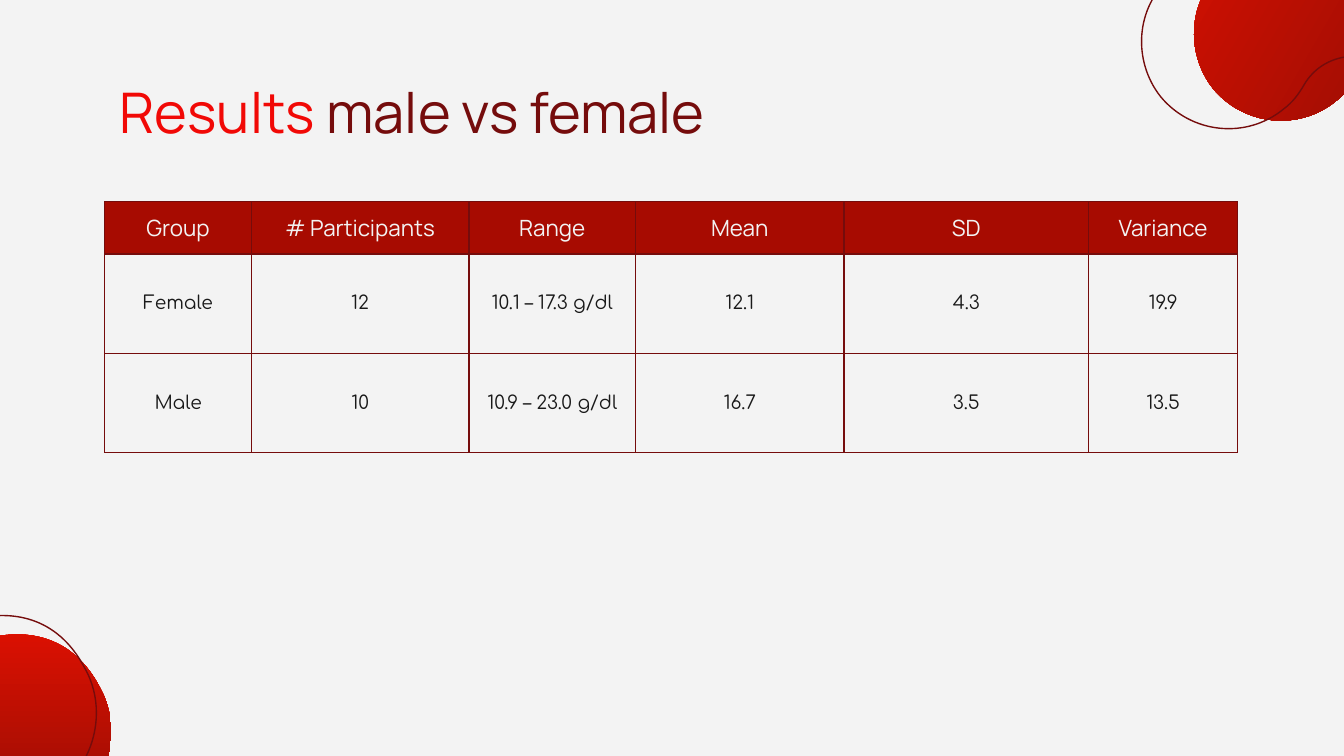
from lxml import etree
from pptx import Presentation
from pptx import util as u
from pptx.dml.color import RGBColor
from pptx.enum import text
from pptx.oxml.ns import qn

COLORS = {"paper": "F3F3F3", "ink": "191919", "header": "A70B01", "accent": "F10906",
          "maroon": "750C0C", "glow": "E91101", "shade": "630B05"}
RGB = {role: RGBColor.from_string(value) for role, value in COLORS.items()}

# Bezier outline around its own centre, in inches: two controls and an end per curve
BLOB_START = (-0.11, -1.10)
BLOB_CURVES = [
    ((-0.17, -1.15), (-0.24, -1.19), (-0.32, -1.21)),
    ((-0.63, -1.32), (-0.97, -1.15), (-1.09, -0.85)),
    ((-1.21, -0.53), (-1.05, -0.17), (-0.73, -0.05)),
    ((-0.66, -0.02), (-0.59, -0.01), (-0.51, -0.01)),
    ((-0.38, -0.01), (-0.26, 0.05), (-0.18, 0.16)),
    ((-0.17, 0.17), (-0.17, 0.17), (-0.16, 0.18)),
    ((-0.03, 0.34), (0.05, 0.54), (0.06, 0.75)),
    ((0.06, 0.84), (0.08, 0.92), (0.12, 0.99)),
    ((0.26, 1.23), (0.55, 1.33), (0.80, 1.21)),
    ((1.08, 1.09), (1.19, 0.76), (1.06, 0.49)),
    ((0.98, 0.35), (0.98, 0.18), (1.05, 0.03)),
    ((1.15, -0.17), (1.16, -0.42), (1.04, -0.63)),
    ((0.83, -1.03), (0.48, -1.05), (0.25, -1.00)),
    ((0.12, -0.97), (-0.01, -1.01), BLOB_START),
]


def add_blob(slide, center_x, center_y, scale, rotation):
    """Add the outline as a polygon, then join each three segments into one curve."""
    points = [BLOB_START] + [point for curve in BLOB_CURVES for point in curve]
    placed = [(u.Inches(center_x + scale * x), u.Inches(center_y + scale * y))
              for x, y in points]
    builder = slide.shapes.build_freeform(*placed[0])
    builder.add_line_segments(placed[1:], close=True)
    blob = builder.convert_to_shape()
    segments = list(blob._element.iter(qn("a:lnTo")))
    for first in range(0, len(segments), 3):
        curve = etree.Element(qn("a:cubicBezTo"))
        segments[first].addprevious(curve)
        for segment in segments[first:first + 3]:
            curve.append(segment[0])
            segment.getparent().remove(segment)
    blob.rotation = rotation
    blob.shadow.inherit = False
    return blob


def add_borders(cell, color, width):
    properties = cell._tc.get_or_add_tcPr()
    for index, side in enumerate(("lnL", "lnR", "lnT", "lnB")):
        border = etree.Element(qn(f"a:{side}"), w=str(width))
        solid = etree.SubElement(border, qn("a:solidFill"))
        etree.SubElement(solid, qn("a:srgbClr"), val=color)
        properties.insert(index, border)


deck = Presentation()
deck.slide_width, deck.slide_height = u.Inches(10), u.Inches(5.625)
slide = deck.slides.add_slide(deck.slide_layouts[5])
slide.background.fill.solid()
slide.background.fill.fore_color.rgb = RGB["paper"]

# Corner decorations: a gradient blob with a shifted outline of itself
corners = [(-0.30, 5.74, 1, 0, -0.11, -0.14),
           (10.38, 0.12, 1.05, 300, -0.39, 0.06)]
for x, y, scale, rotation, shift_x, shift_y in corners:
    filled = add_blob(slide, x, y, scale, rotation)
    filled.line.fill.background()
    filled.fill.gradient()
    filled.fill.gradient_angle = 270
    for stop, role in zip(filled.fill.gradient_stops, ("glow", "shade")):
        stop.color.rgb = RGB[role]
    outline = add_blob(slide, x + shift_x, y + shift_y, scale, rotation)
    outline.fill.background()
    outline.line.color.rgb = RGB["maroon"]
    outline.line.width = u.Pt(0.75)

title = slide.shapes.title
title.left, title.top = u.Inches(0.79), u.Inches(0.48)
title.width, title.height = u.Inches(8.43), u.Inches(0.63)
frame = title.text_frame
frame.auto_size = text.MSO_AUTO_SIZE.NONE
frame.word_wrap = True
frame.vertical_anchor = text.MSO_ANCHOR.TOP
frame.margin_left = frame.margin_right = u.Inches(0.1)
frame.margin_top = frame.margin_bottom = u.Inches(0.1)
heading = frame.paragraphs[0]
heading.alignment = text.PP_ALIGN.LEFT
heading.font.size, heading.font.name = u.Pt(30), "Manrope"
for words, role in (("Results ", "accent"), ("male vs female", "maroon")):
    run = heading.add_run()
    run.text = words
    run.font.color.rgb = RGB[role]

results = [
    ["Group", "# Participants", "Range", "Mean", "SD", "Variance"],
    ["Female", "12", "10.1 – 17.3 g/dl", "12.1", "4.3", "19.9"],
    ["Male", "10", "10.9 – 23.0 g/dl", "16.7", "3.5", "13.5"],
]
column_widths = [1.09, 1.62, 1.24, 1.55, 1.82, 1.11]
row_heights = [0.39, 0.74, 0.74]
table = slide.shapes.add_table(
    len(results), len(column_widths), u.Inches(0.78), u.Inches(1.5),
    u.Inches(sum(column_widths)), u.Inches(sum(row_heights))).table
table.first_row = table.horz_banding = False
for column, width in zip(table.columns, column_widths):
    column.width = u.Inches(width)
for row, height, values in zip(table.rows, row_heights, results):
    row.height = u.Inches(height)
    is_header = values is results[0]
    for cell, value in zip(row.cells, values):
        cell.text = value
        cell.vertical_anchor = text.MSO_ANCHOR.MIDDLE
        cell.margin_left = cell.margin_right = u.Inches(0.05)
        cell.margin_top = cell.margin_bottom = u.Inches(0.05)
        cell.fill.solid()
        cell.fill.fore_color.rgb = RGB["header" if is_header else "paper"]
        add_borders(cell, COLORS["maroon"], u.Pt(0.75))
        paragraph = cell.text_frame.paragraphs[0]
        paragraph.alignment = text.PP_ALIGN.CENTER
        paragraph.font.name = "Manrope" if is_header else "Comfortaa"
        paragraph.font.size = u.Pt(12 if is_header else 10)
        paragraph.font.color.rgb = RGB["paper" if is_header else "ink"]

deck.save("out.pptx")
